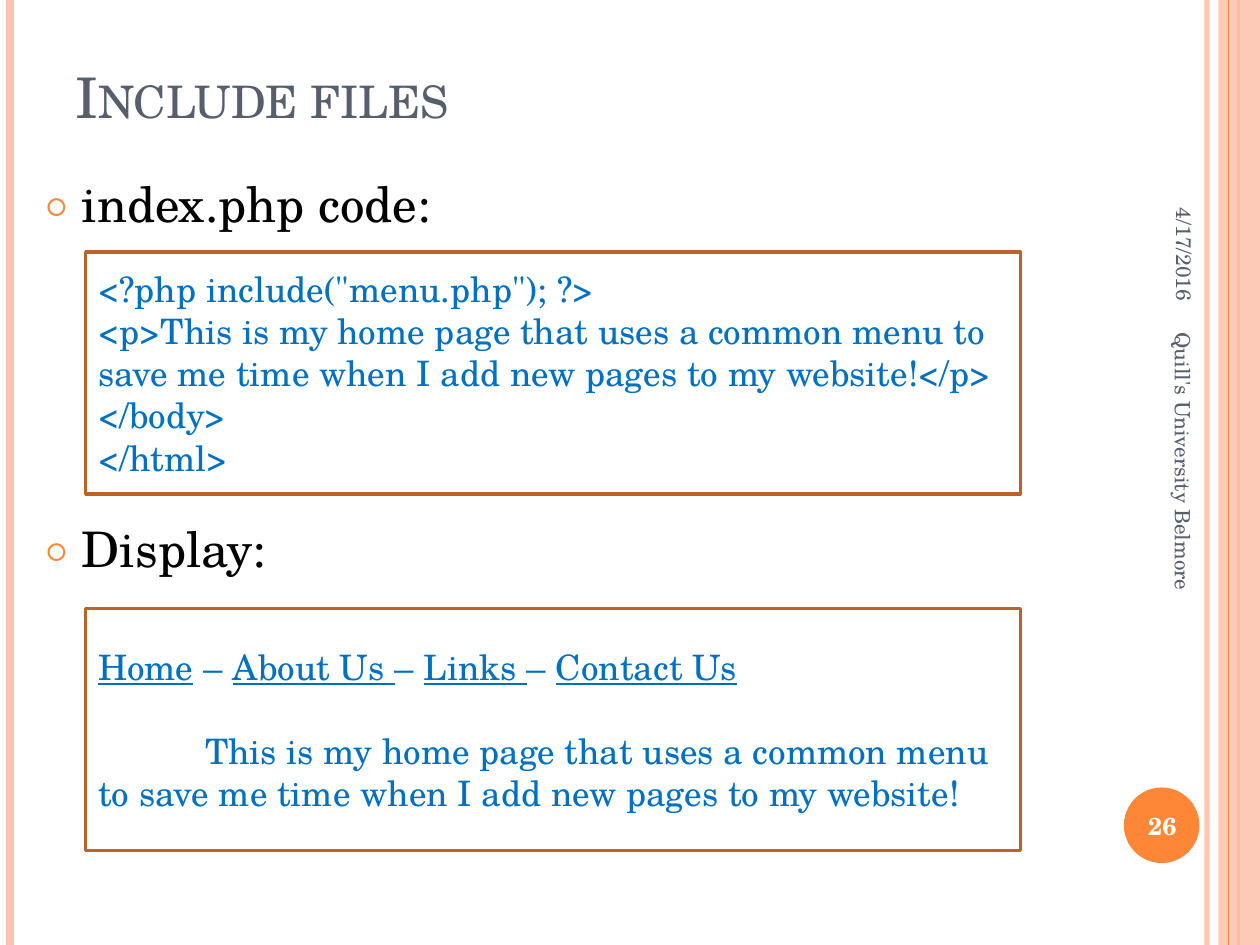
from dataclasses import dataclass

from lxml import etree
from pptx import Presentation
from pptx.dml.color import RGBColor
from pptx.enum.shapes import MSO_CONNECTOR, MSO_SHAPE
from pptx.enum.text import MSO_ANCHOR, MSO_AUTO_SIZE, PP_ALIGN
from pptx.oxml.ns import qn
from pptx.util import Inches, Pt

STRAIGHT = MSO_CONNECTOR.STRAIGHT
RECTANGLE, OVAL = MSO_SHAPE.RECTANGLE, MSO_SHAPE.OVAL
MIDDLE, BOTTOM, TOP = MSO_ANCHOR.MIDDLE, MSO_ANCHOR.BOTTOM, MSO_ANCHOR.TOP
LEFT, CENTER, RIGHT = PP_ALIGN.LEFT, PP_ALIGN.CENTER, PP_ALIGN.RIGHT
FIXED_SIZE = MSO_AUTO_SIZE.NONE


@dataclass(frozen=True)
class Theme:
    font: str = "TeX Gyre Schola"
    slate: str = "575F6D"
    orange: str = "FE8637"
    peach: str = "FEC3AE"
    rust: str = "BC6329"
    blue: str = "0070C0"
    black: str = "000000"
    white: str = "FFFFFF"
    title_size: int = 32
    body_size: int = 28
    code_size: int = 20
    number_size: int = 14
    footer_size: int = 12


THEME = Theme()


def write(shape, paragraphs, size, color, align=LEFT, anchor=MIDDLE, **font_format):
    """Fill a shape with paragraphs, each a list of (text, underlined) spans."""
    frame = shape.text_frame
    frame_format = {"word_wrap": True, "auto_size": FIXED_SIZE, "vertical_anchor": anchor}
    for name, value in frame_format.items():
        setattr(frame, name, value)
    span_format = {"name": THEME.font, "size": Pt(size), **font_format}
    for index, spans in enumerate(paragraphs):
        para = frame.add_paragraph() if index else frame.paragraphs[0]
        para.alignment = align
        for text, underlined in spans:
            span = para.add_run()
            span.text = text
            for name, value in span_format.items():
                setattr(span.font, name, value)
            if underlined:
                span.font.underline = True
            span.font.color.rgb = RGBColor.from_string(color)
    return frame.paragraphs


def set_opacity(shape, percent):
    color = shape._element.spPr.find(".//" + qn("a:srgbClr"))
    etree.SubElement(color, qn("a:alpha"), val=str(percent * 1000))


deck = Presentation()
deck.slide_width, deck.slide_height = Inches(10), Inches(7.5)
page = deck.slides.add_slide(deck.slide_layouts[1])
shapes = page.shapes

# Side band and stripes
band = shapes.add_shape(RECTANGLE, Inches(9.67), 0, Inches(0.33), deck.slide_height)
badge = shapes.add_shape(OVAL, Inches(8.92), Inches(6.25), Inches(0.6), Inches(0.6))
for shape, color in ((band, THEME.peach), (badge, THEME.orange)):
    shape.shadow.inherit = False
    shape.fill.solid()
    shape.fill.fore_color.rgb = RGBColor.from_string(color)
    shape.line.fill.background()
set_opacity(band, 87)

stripes = [
    (9.58, THEME.peach, 3, 93),
    (0.08, THEME.peach, 4.5, 100),
    (9.83, THEME.orange, 1.5, 100),
    (9.75, THEME.orange, 0.75, 100),
]
for x, color, width, opacity in stripes:
    stripe = shapes.add_connector(STRAIGHT, Inches(x), 0, Inches(x), deck.slide_height)
    stripe.line.color.rgb = RGBColor.from_string(color)
    stripe.line.width = Pt(width)
    if opacity < 100:
        set_opacity(stripe, opacity)
    etree.SubElement(stripe._element.spPr, qn("a:effectLst"))
    if x == 9.83:  # the band covers this stripe
        band._element.addprevious(stripe._element)

# Date, footer and slide number
labels = [
    ("4/17/2016", (8.3, 1.18, 2.2, 0.42), 90, THEME.footer_size, THEME.slate, RIGHT, False),
    ("Quill's University Belmore", (7.64, 4.09, 3.5, 0.4), 90,
     THEME.footer_size, THEME.slate, LEFT, False),
    ("26", (8.89, 6.27, 0.67, 0.57), 0, THEME.number_size, THEME.white, CENTER, True),
]
for text, place, rotation, size, color, align, bold in labels:
    label = shapes.add_textbox(*map(Inches, place))
    label.rotation = rotation
    write(label, [[(text, False)]], size, color, align, bold=bold)

title, body = shapes.title, page.placeholders[1]
places = ((title, (0.5, 0.3, 8.17, 0.78)), (body, (0.25, 1.33, 8.58, 5.67)))
for holder, place in places:
    holder.left, holder.top, holder.width, holder.height = map(Inches, place)

heading = write(title, [[("Include files", False)]],
                THEME.title_size, THEME.slate, anchor=BOTTOM)[0]
heading.runs[0]._r.get_or_add_rPr().set("cap", "small")

items = write(body, [[("index.php code:", False)], [("Display:", False)]],
              THEME.body_size, THEME.black, anchor=TOP)
for item, space_before in zip(items, (6, 163.5)):
    item.space_before = Pt(space_before)
    properties = item._p.get_or_add_pPr()
    properties.set("marL", str(Inches(0.3)))
    properties.set("indent", str(Inches(-0.3)))
    bullet_color = etree.SubElement(properties, qn("a:buClr"))
    etree.SubElement(bullet_color, qn("a:srgbClr"), val=THEME.orange)
    etree.SubElement(properties, qn("a:buSzPct"), val="70000")
    etree.SubElement(properties, qn("a:buFont"), typeface=THEME.font)
    etree.SubElement(properties, qn("a:buChar"), char="○")

sentence = ("This is my home page that uses a common menu to save me time "
            "when I add new pages to my website!")
code = [[(line, False)] for line in (
    '<?php include("menu.php"); ?>', f"<p>{sentence}</p>", "</body>", "</html>")]
menu = [("Home", True), (" – ", False), ("About Us ", True), ("– ", False),
        ("Links ", True), ("– ", False), ("Contact Us", True)]
display = [menu, [(sentence, False)]]

for top, content in ((2, code), (4.83, display)):
    box = shapes.add_shape(RECTANGLE, Inches(0.68), Inches(top), Inches(7.42), Inches(1.92))
    box.shadow.inherit = False
    box.fill.background()
    box.line.color.rgb = RGBColor.from_string(THEME.rust)
    box.line.width = Pt(2)
    lines = write(box, content, THEME.code_size, THEME.blue)

# The displayed sentence stands one line below the menu, first line indented
lines[-1].space_before = Pt(24)
lines[-1]._p.get_or_add_pPr().set("indent", str(Inches(0.85)))

deck.save("out.pptx")
